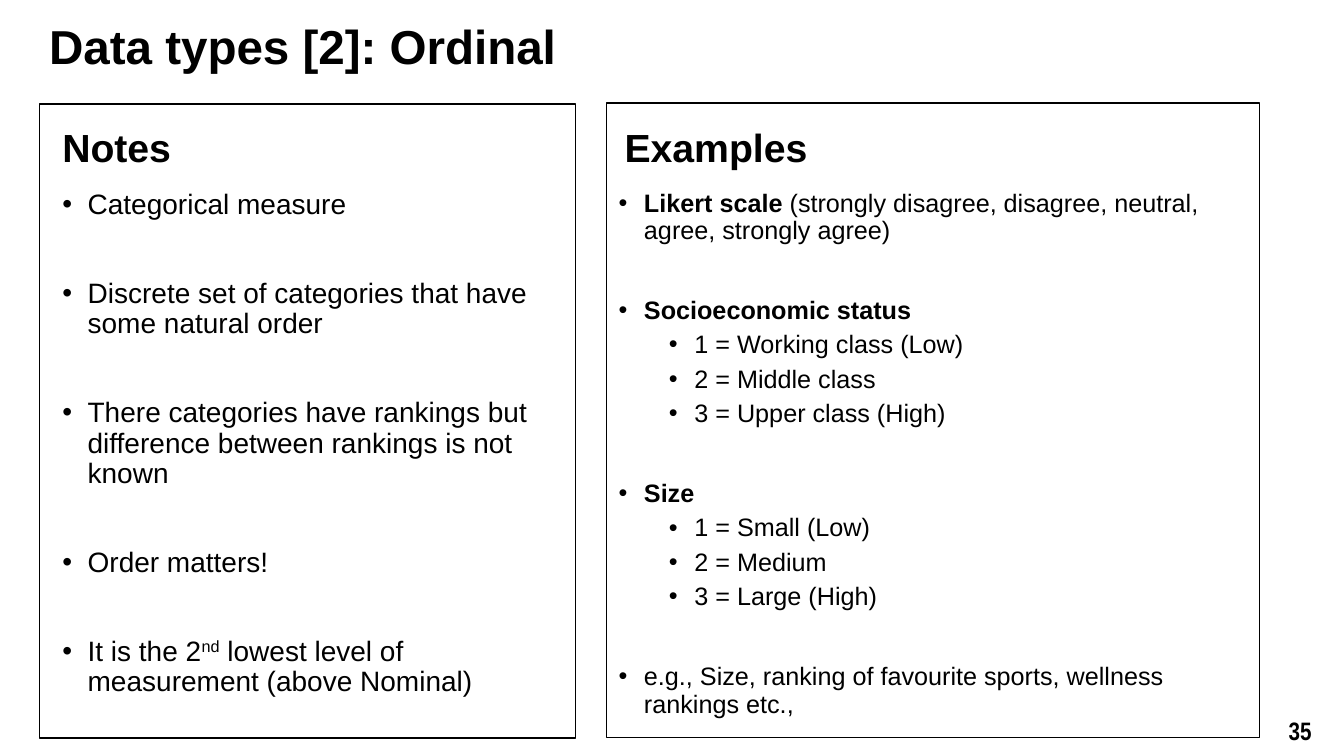
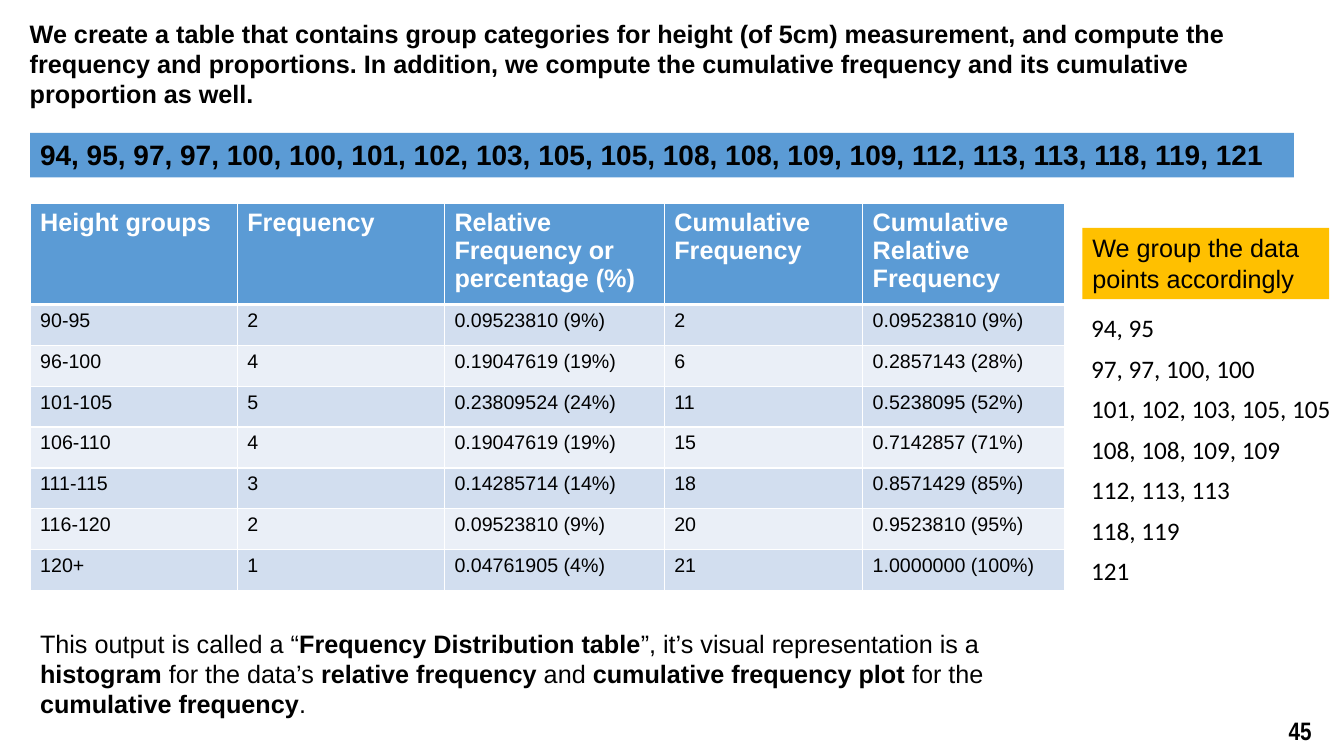
from lxml import etree
from pptx import Presentation
from pptx.dml.color import RGBColor
from pptx.enum.shapes import MSO_SHAPE
from pptx.enum.text import MSO_ANCHOR, PP_ALIGN
from pptx.oxml.ns import qn
from pptx.util import Cm, Pt

RECTANGLE = MSO_SHAPE.RECTANGLE
LEFT, CENTER = PP_ALIGN.LEFT, PP_ALIGN.CENTER
TOP, MIDDLE = MSO_ANCHOR.TOP, MSO_ANCHOR.MIDDLE
BLACK, WHITE = "000000", "FFFFFF"
BLUE, PALE_BLUE, PALER_BLUE, AMBER = "5B9BD5", "D2DEEF", "EAEFF7", "FFC000"
SANS, NARROW, LABEL_FONT = "Arial", "Arial Narrow", "Calibri"
INDENT, LEVEL_STEP = Cm(0.64), Cm(1.27)

NOTES = [
    "Categorical measure",
    "Discrete set of categories that have some natural order",
    "There categories have rankings but difference between rankings is not known",
    "Order matters!",
    "It is the 2^nd^ lowest level of measurement (above Nominal)",
]
EXAMPLES = [
    ("*Likert scale *(strongly disagree, disagree, neutral, agree, strongly agree)", []),
    ("*Socioeconomic status*",
     ["1 = Working class (Low)", "2 = Middle class", "3 = Upper class (High)"]),
    ("*Size*", ["1 = Small (Low)", "2 = Medium", "3 = Large (High)"]),
    ("e.g., Size, ranking of favourite sports, wellness rankings etc.,", []),
]
HEADERS = ["Height groups", "Frequency", "Relative Frequency or percentage (%)",
           "Cumulative Frequency", "Cumulative Relative Frequency"]
FREQUENCIES = [
    ["90-95", "2", "0.09523810 (9%)", "2", "0.09523810 (9%)"],
    ["96-100", "4", "0.19047619 (19%)", "6", "0.2857143 (28%)"],
    ["101-105", "5", "0.23809524 (24%)", "11", "0.5238095 (52%)"],
    ["106-110", "4", "0.19047619 (19%)", "15", "0.7142857 (71%)"],
    ["111-115", "3", "0.14285714 (14%)", "18", "0.8571429 (85%)"],
    ["116-120", "2", "0.09523810 (9%)", "20", "0.9523810 (95%)"],
    ["120+", "1", "0.04761905 (4%)", "21", "1.0000000 (100%)"],
]
COLUMN_WIDTHS = [5.22, 5.22, 5.54, 5, 5.08]
HEADER_HEIGHT, ROW_HEIGHT = 2.54, 1.03
GROUPS = ["94, 95", "97, 97, 100, 100", "101, 102, 103, 105, 105",
          "108, 108, 109, 109", "112, 113, 113", "118, 119", "121"]


def color(value):
    """Turn a hex string into a colour."""
    return RGBColor.from_string(value)


def add_spans(para, text):
    """Add runs, where *stars* mark bold and ^carets^ mark superscript."""
    for bold_index, part in enumerate(text.split("*")):
        for raised_index, piece in enumerate(part.split("^")):
            if not piece:
                continue
            span = para.add_run()
            span.text = piece
            if bold_index % 2:
                span.font.bold = True
            if raised_index % 2:
                span.font._element.set("baseline", "30000")


def style(para, size, bold=False, ink=BLACK, font=SANS):
    """Set the font of a whole paragraph."""
    para.font.name = font
    para.font.size = Pt(size)
    para.font.bold = bold
    para.font.color.rgb = color(ink)


def write(frame, text, size, bold=False, font=SANS, align=LEFT, anchor=TOP,
          wrap=True, spacing=1.0):
    """Fill a text frame with one paragraph."""
    frame.word_wrap = wrap
    frame.vertical_anchor = anchor
    para = frame.paragraphs[0]
    para.alignment = align
    para.line_spacing = spacing
    add_spans(para, text)
    style(para, size, bold, font=font)


def add_text(page, place, text, size, **options):
    """Add a text box holding one paragraph."""
    box = page.shapes.add_textbox(*map(Cm, place))
    write(box.text_frame, text, size, **options)


def add_bullets(page, place, items, size):
    """Add a bulleted list from (text, level, space before) items."""
    frame = page.shapes.add_textbox(*map(Cm, place)).text_frame
    frame.word_wrap = True
    for index, (text, level, before) in enumerate(items):
        para = frame.add_paragraph() if index else frame.paragraphs[0]
        para.level = level
        para.line_spacing = 0.9
        para.space_before = Pt(before)
        properties = para._p.get_or_add_pPr()
        properties.set("marL", str(INDENT + level * LEVEL_STEP))
        properties.set("indent", str(-INDENT))
        etree.SubElement(properties, qn("a:buFont")).set("typeface", SANS)
        etree.SubElement(properties, qn("a:buChar")).set("char", "•")
        add_spans(para, text)
        style(para, size)


def add_rectangle(page, place, fill=None, line=None):
    """Add a plain rectangle with an optional fill and outline."""
    box = page.shapes.add_shape(RECTANGLE, *map(Cm, place))
    box.shadow.inherit = False
    if fill:
        box.fill.solid()
        box.fill.fore_color.rgb = color(fill)
    else:
        box.fill.background()
    if line:
        box.line.color.rgb = color(line)
        box.line.width = Pt(1)
    else:
        box.line.fill.background()
    return box


def add_banner(page, place, fill, text, size, bold=False):
    """Add a filled rectangle with left-aligned text."""
    write(add_rectangle(page, place, fill).text_frame, text, size, bold)


def add_borders(cell, bottom):
    """Draw white borders round a cell, the lower one with its own width."""
    properties = cell._tc.get_or_add_tcPr()
    for index, (side, width) in enumerate(
            [("lnL", 1), ("lnR", 1), ("lnT", 1), ("lnB", bottom)]):
        line = etree.Element(qn("a:" + side), w=str(Pt(width)))
        fill = etree.SubElement(line, qn("a:solidFill"))
        etree.SubElement(fill, qn("a:srgbClr")).set("val", WHITE)
        properties.insert(index, line)


def add_frequency_table(page, left, top):
    """Add the banded frequency table."""
    rows = [HEADERS] + FREQUENCIES
    height = HEADER_HEIGHT + ROW_HEIGHT * len(FREQUENCIES)
    table = page.shapes.add_table(len(rows), len(HEADERS), Cm(left), Cm(top),
                                  Cm(sum(COLUMN_WIDTHS)), Cm(height)).table
    for column, width in zip(table.columns, COLUMN_WIDTHS):
        column.width = Cm(width)
    for index, row in enumerate(rows):
        header = index == 0
        fill = BLUE if header else (PALER_BLUE, PALE_BLUE)[index % 2]
        table.rows[index].height = Cm(HEADER_HEIGHT if header else ROW_HEIGHT)
        for cell, text in zip(table.rows[index].cells, row):
            cell.fill.solid()
            cell.fill.fore_color.rgb = color(fill)
            add_borders(cell, 3 if header else 1)
            para = cell.text_frame.paragraphs[0]
            add_spans(para, text)
            style(para, 18 if header else 14, header, WHITE if header else BLACK)


def add_page(deck, number):
    """Add a blank page with its page number."""
    page = deck.slides.add_slide(deck.slide_layouts[6])
    add_text(page, (31.98, 17.81, 1.57, 1.17), number, 18, bold=True,
             font=NARROW, align=CENTER, anchor=MIDDLE)
    return page


def add_panel(page, frame, heading_left, heading):
    """Add an outlined panel with its heading."""
    add_rectangle(page, frame, line=BLACK)
    add_text(page, (heading_left, 3.12, 12.17, 1.78), heading, 28,
             bold=True, spacing=0.9)


def build_ordinal_page(deck):
    """Build the page on ordinal data."""
    page = add_page(deck, "35")
    add_text(page, (0.99, 0.46, 30.76, 1.45), "Data types [2]: Ordinal", 34,
             bold=True, spacing=0.9)
    add_panel(page, (0.99, 2.62, 13.51, 15.98), 1.32, "Notes")
    notes = [(text, 0, 42 if index else 0) for index, text in enumerate(NOTES)]
    add_bullets(page, (1.32, 4.67, 13.59, 12.27), notes, 20)
    add_panel(page, (15.29, 2.6, 16.46, 15.98), 15.49, "Examples")
    examples = []
    for text, details in EXAMPLES:
        examples.append((text, 0, 38 if examples else 0))
        examples += [(detail, 1, 5) for detail in details]
    add_bullets(page, (15.34, 4.67, 15.98, 12.78), examples, 18)


def build_frequency_page(deck):
    """Build the page on the frequency distribution table."""
    page = add_page(deck, "45")
    add_text(page, (0.5, 0.33, 32.94, 2.57),
             "We create a table that contains group categories for height (of 5cm) "
             "measurement, and compute the frequency and proportions. In addition, "
             "we compute the cumulative frequency and its cumulative proportion as well.",
             18, bold=True)
    add_banner(page, (0.76, 3.35, 31.85, 1.12), BLUE,
               "94, 95, 97, 97, 100, 100, 101, 102, 103, 105, 105, 108, 108, 109, "
               "109, 112, 113, 113, 118, 119, 121", 20, True)
    add_frequency_table(page, 0.76, 5.13)
    add_banner(page, (27.28, 5.74, 6.22, 1.8), AMBER,
               "We group the data points accordingly", 18)
    for index, group in enumerate(GROUPS):
        add_text(page, (27.25, 7.75 + 1.02 * index, 6.63, 1.02), group, 18,
                 font=LABEL_FONT, wrap=False)
    add_text(page, (0.76, 15.7, 26.06, 2.57),
             "This output is called a “*Frequency Distribution table*”, it’s visual "
             "representation is a *histogram* for the data’s *relative frequency *and "
             "*cumulative frequency plot* for the *cumulative frequency*.", 18)


def main():
    """Build and save the deck."""
    deck = Presentation()
    deck.slide_width, deck.slide_height = Cm(33.87), Cm(19.05)
    build_ordinal_page(deck)
    build_frequency_page(deck)
    deck.save("out.pptx")


if __name__ == "__main__":
    main()
